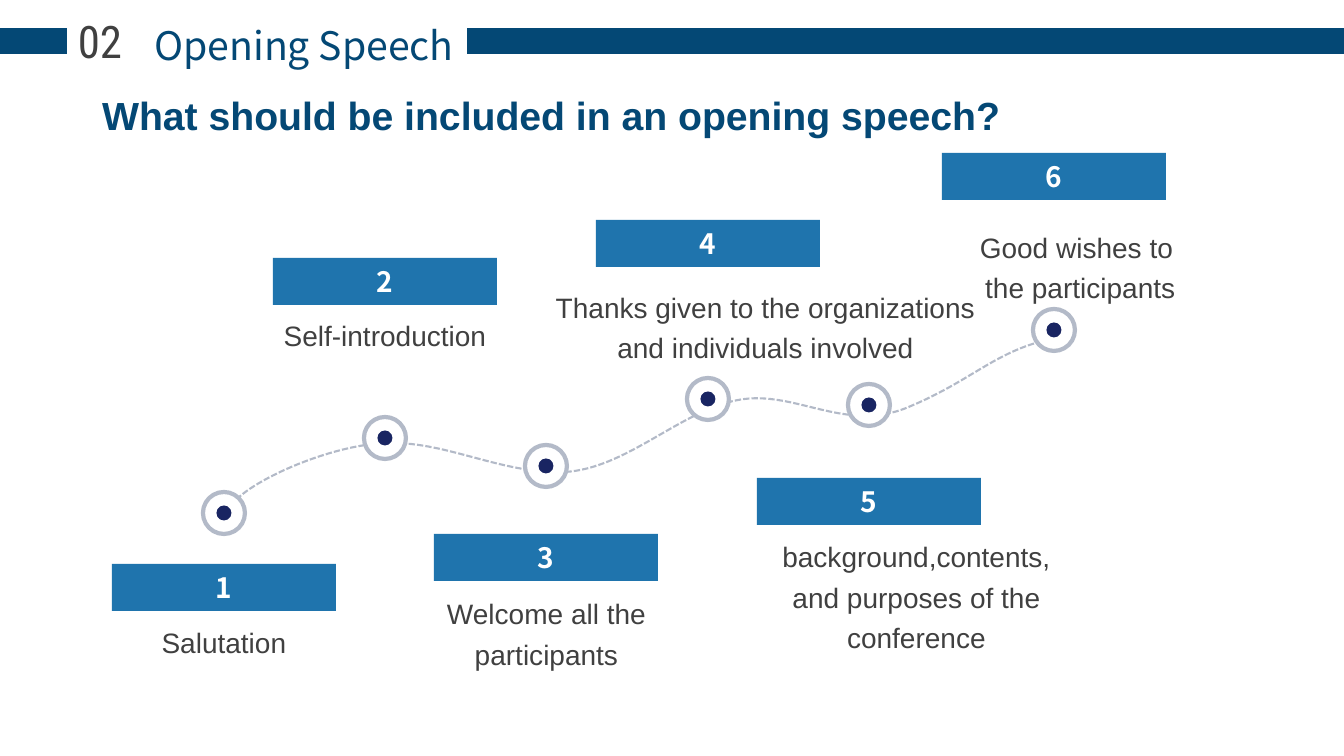
from dataclasses import dataclass

from lxml.etree import SubElement
from pptx import Presentation
from pptx.dml.color import RGBColor
from pptx.enum.dml import MSO_LINE
from pptx.enum.shapes import MSO_SHAPE
from pptx.enum.text import MSO_ANCHOR, PP_ALIGN
from pptx.oxml.ns import qn
from pptx.util import Pt

QUESTION = "What should be included in an opening speech?"
SECTION_NUMBER = ("02", (60, 9, 80, 65))
SECTION_NAME = ("Opening Speech", (130, 16, 348, 57))
QUESTION_BOX = (92, 86, 941, 57)
HEADER_BANDS = [(0, 28, 67, 26), (467, 28, 877, 26)]

# marker centre, bar top, caption paragraphs, caption box
STEPS = [
    ((224, 513), 564, ["Salutation"], (112, 614, 224, 60)),
    ((385, 438), 258, ["Self-introduction"], (273, 307, 224, 58)),
    ((546, 466), 534, ["Welcome all the participants"], (424, 585, 245, 106)),
    ((708, 399), 220, ["Thanks given to the organizations and individuals involved"],
     (539, 279, 453, 87)),
    ((869, 405), 478, ["background,contents, and purposes of the conference"],
     (757, 528, 319, 124)),
    ((1054, 330), 153, ["Good wishes to", " the participants"], (912, 219, 329, 89)),
]
BAR_WIDTH, BAR_HEIGHT = 224, 47
RING_SIZE, DOT_SIZE = 42, 15

# start point, then two control points and an end point for each bend
PATH_START = (231, 506)
PATH_BENDS = [
    (246, 482), (333, 443), (390, 443),
    (448, 442), (502, 474), (564, 472),
    (626, 469), (680, 411), (738, 400),
    (796, 389), (846, 435), (911, 406),
    (977, 378), (999, 347), (1062, 337),
]


@dataclass(frozen=True)
class Theme:
    navy: str = "044875"
    blue: str = "1F74AD"
    dot: str = "192562"
    grey: str = "B3BAC8"
    ink: str = "404040"
    white: str = "FFFFFF"
    body: str = "Arial"
    heading: str = "Noto Sans CJK SC"
    numeral: str = "Roboto Condensed"
    number_size: int = 32
    title_size: int = 28
    text_size: int = 20


THEME = Theme()
EMU_PER_PX = 914400 / 100.8

NUMBER_FONT = {"name": THEME.numeral, "size": Pt(THEME.number_size), "color": THEME.ink}
SECTION_FONT = {"name": THEME.heading, "size": Pt(THEME.title_size), "color": THEME.navy}
TITLE_FONT = {"name": THEME.body, "size": Pt(THEME.title_size), "bold": True,
              "color": THEME.navy}
BAR_FONT = {"name": THEME.heading, "size": Pt(THEME.text_size), "bold": True,
            "color": THEME.white}
CAPTION_FONT = {"name": THEME.body, "size": Pt(THEME.text_size), "color": THEME.ink}


def emu(lengths):
    return [round(length * EMU_PER_PX) for length in lengths]


def centred(centre, size):
    return centre[0] - size / 2, centre[1] - size / 2, size, size


def write(frame, lines, font, align=PP_ALIGN.CENTER, anchor=MSO_ANCHOR.TOP, spacing=None):
    frame.text = "\n".join(lines)
    frame.word_wrap = True
    frame.vertical_anchor = anchor
    for paragraph in frame.paragraphs:
        paragraph.alignment = align
        if spacing:
            paragraph.line_spacing = spacing
        for key, value in font.items():
            target = paragraph.runs[0].font
            if key == "color":
                target.color.rgb = RGBColor.from_string(value)
            else:
                setattr(target, key, value)


def add_text(slide, lines, box, font, **layout):
    write(slide.shapes.add_textbox(*emu(box)).text_frame, lines, font, **layout)


def add_filled(slide, preset, box, fill, outline=None):
    shape = slide.shapes.add_shape(preset, *emu(box))
    shape.shadow.inherit = False
    shape.fill.solid()
    shape.fill.fore_color.rgb = RGBColor.from_string(fill)
    if outline:
        shape.line.color.rgb = RGBColor.from_string(outline)
        shape.line.width = Pt(3)
    else:
        shape.line.fill.background()
    return shape


def add_path(slide):
    """Draw the dashed path, turning each three segments into one cubic curve."""
    builder = slide.shapes.build_freeform(*PATH_START, scale=EMU_PER_PX)
    builder.add_line_segments(PATH_BENDS, close=False)
    curve = builder.convert_to_shape()
    curve.shadow.inherit = False
    curve.fill.background()
    curve.line.color.rgb = RGBColor.from_string(THEME.grey)
    curve.line.width = Pt(1.5)
    curve.line.dash_style = MSO_LINE.SQUARE_DOT
    outline = next(curve.element.iter(qn("a:path")))
    segments = outline.findall(qn("a:lnTo"))
    for first in range(0, len(segments), 3):
        bend = SubElement(outline, qn("a:cubicBezTo"))
        for segment in segments[first:first + 3]:
            bend.append(segment[0])
            outline.remove(segment)


def add_step(slide, number, bar_centre, bar_top, caption, caption_box):
    bar_box = (bar_centre - BAR_WIDTH / 2, bar_top, BAR_WIDTH, BAR_HEIGHT)
    bar = add_filled(slide, MSO_SHAPE.RECTANGLE, bar_box, THEME.blue)
    write(bar.text_frame, [str(number)], BAR_FONT, anchor=MSO_ANCHOR.MIDDLE)
    add_text(slide, caption, caption_box, CAPTION_FONT, spacing=1.2)


def main():
    deck = Presentation()
    deck.slide_width, deck.slide_height = emu((1344, 756))
    slide = deck.slides.add_slide(deck.slide_layouts[5])

    title = slide.shapes.title
    title.left, title.top, title.width, title.height = emu(QUESTION_BOX)
    write(title.text_frame, [QUESTION], TITLE_FONT, align=PP_ALIGN.LEFT)

    for band in HEADER_BANDS:
        add_filled(slide, MSO_SHAPE.RECTANGLE, band, THEME.navy)
    for (text, box), font in ((SECTION_NAME, SECTION_FONT), (SECTION_NUMBER, NUMBER_FONT)):
        add_text(slide, [text], box, font)

    add_path(slide)
    for centre, *_ in STEPS:
        add_filled(slide, MSO_SHAPE.OVAL, centred(centre, RING_SIZE), THEME.white, THEME.grey)
        add_filled(slide, MSO_SHAPE.OVAL, centred(centre, DOT_SIZE), THEME.dot)
    for number, (centre, bar_top, caption, caption_box) in enumerate(STEPS, 1):
        add_step(slide, number, centre[0], bar_top, caption, caption_box)

    deck.save("out.pptx")


if __name__ == "__main__":
    main()
